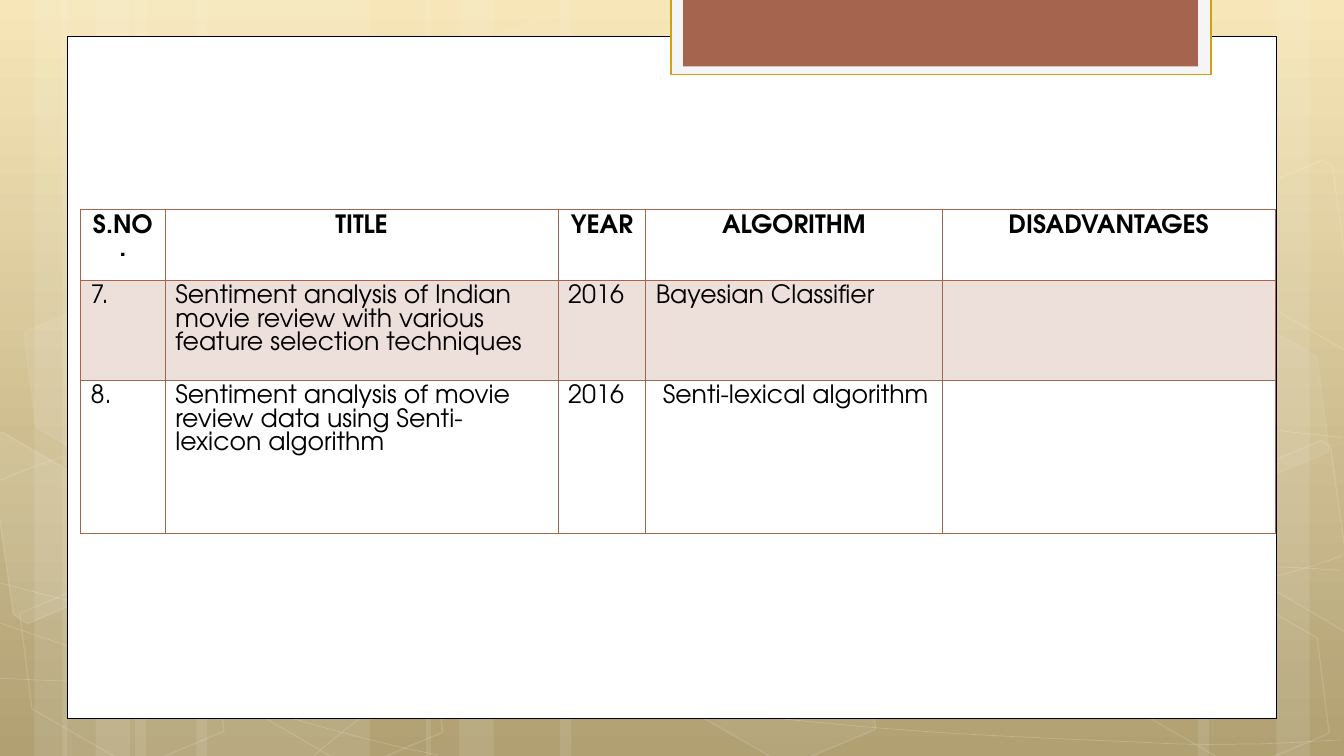
from math import cos, radians, sin

from lxml import etree
from pptx import Presentation
from pptx.dml.color import RGBColor
from pptx.enum.shapes import MSO_SHAPE
from pptx.enum.text import PP_ALIGN
from pptx.oxml.ns import qn
from pptx.util import Emu, Pt

RECT, HEXAGON = MSO_SHAPE.RECTANGLE, MSO_SHAPE.HEXAGON
PX = 9144  # 100 px to the inch
TILT = 30

THEME = {
    "font": "TeX Gyre Adventor", "size": 18,
    "top": "F6E4B0", "bottom": "A89663",
    "white": "FFFFFF", "text": "000000", "tab": "F5F5F5",
    "gold": "D2A010", "accent": "A5644E",
}

HEADER = ["S.NO.", "TITLE", "YEAR", "ALGORITHM", "DISADVANTAGES"]
PAPERS = [
    ["7.", "Sentiment analysis of Indian movie review with various feature selection techniques",
     "2016", "Bayesian Classiﬁer", ""],
    ["8.", "Sentiment analysis of movie review data using Senti-lexicon algorithm",
     "2016", " Senti-lexical algorithm", ""],
]
TABLE_AT = (80, 208)
COLUMNS = [84, 390, 87, 294, 331]
ROWS = [70, 99, 152]
THIN, THICK = 0.45, 0.96

# left, width of full-height stripes
STRIPES = [(134, 233), (0, 67), (34, 111), (195, 233), (62, 67), (95, 111),
           (967, 233), (1267, 67), (1189, 111), (556, 411), (423, 67), (456, 111)]

# start point, then segments: six numbers for a cubic Bézier, two for a line
CURVES = [
    [(-1, 673), (71, 676, 143, 679, 243, 678), (343, 677, 466, 675, 599, 665),
     (733, 655, 922, 636, 1045, 617), (1167, 598, 1292, 568, 1332, 551)],
    [(-1, 477), (37, 461, 75, 446, 151, 431), (227, 416, 334, 394, 452, 387),
     (571, 380, 714, 379, 861, 387), (1008, 395, 1252, 426, 1332, 434)],
    [(-3, 617), (158, 672, 319, 727, 435, 749)],
    [(-1, 578), (40, 589, 82, 600, 160, 616), (237, 631, 353, 656, 464, 673),
     (576, 690, 716, 708, 826, 718), (937, 729, 1055, 733, 1126, 736),
     (1196, 740, 1215, 738, 1249, 738), (1283, 737, 1308, 735, 1332, 734)],
    [(312, 749), (336, 729, 359, 709, 392, 691), (424, 672, 469, 653, 506, 639),
     (543, 625, 566, 619, 615, 609), (664, 599, 754, 585, 800, 578),
     (847, 571, 854, 571, 896, 569), (937, 566, 1002, 563, 1048, 562),
     (1094, 561, 1171, 562, 1171, 562), (1259, 562),
     (1284, 563, 1306, 564, 1318, 565), (1330, 566, 1326, 565, 1330, 566)],
]

# left, top, fill opacity %, line opacity %
HEXAGONS = [(435, 36, 4, 8), (651, 589, 6, 12), (4, 591, 0, 12), (8, 312, 7, 8),
            (221, 592, 0, 12), (1101, 593, 0, 12), (1101, 314, 7, 8)]

# centre and points of the hexagons cut by the slide edge, fill opacity %
CUT_HEXAGONS = [
    ((37, 536), [(-11, 434), (2, 428), (104, 487), (116, 581), (28, 618), (13, 609)], 10),
    ((1302, 520), [(1224, 474), (1312, 437), (1321, 443), (1346, 625), (1338, 628),
                   (1236, 569)], 4),
    ((1302, 241), [(1224, 196), (1312, 159), (1323, 165), (1346, 346), (1338, 350),
                   (1236, 291)], 0),
]

# left, top, width, height, fill, line colour, line width
PANELS = [(67, 36, 1200, 677, "white", "text", 0.5),
          (666, -2, 536, 76, "tab", "gold", 1),
          (678, -2, 511, 68, "accent", None, 0)]


def rgb(name):
    return RGBColor.from_string(THEME[name])


def paint(fill, name, opacity=100):
    if not opacity:
        fill.background()
        return
    fill.solid()
    fill.fore_color.rgb = rgb(name)
    if opacity < 100:
        for clr in fill._xPr.iter(qn("a:srgbClr")):
            etree.SubElement(clr, qn("a:alpha"), val=str(opacity * 1000))


def style(sp, fill, opacity=100, line=None, width=0, line_opacity=100):
    sp.shadow.inherit = False
    paint(sp.fill, fill, opacity)
    if line:
        sp.line.width = Pt(width)
        paint(sp.line.fill, line, line_opacity)
    else:
        sp.line.fill.background()


def add_preset(s, kind, *box):
    return s.shapes.add_shape(kind, *(Emu(v * PX) for v in box))


def add_outline(s, points, close):
    builder = s.shapes.build_freeform(*points[0], scale=PX)
    builder.add_line_segments(points[1:], close=close)
    return builder.convert_to_shape()


def add_curve(s, curve):
    """Draw through all control points, then merge each three lines into a Bézier."""
    points = [xy for seg in curve for xy in zip(seg[::2], seg[1::2])]
    sp = add_outline(s, points, False)
    lines = iter(list(sp._element.iter(qn("a:lnTo"))))
    for seg in curve[1:]:
        first = next(lines)
        if len(seg) == 6:
            first.tag = qn("a:cubicBezTo")
            for _ in range(2):
                extra = next(lines)
                first.append(extra[0])
                extra.getparent().remove(extra)
    return sp


def add_cut_hexagon(s, centre, points):
    """Turn the points back by the tilt, so that the rotated shape meets them."""
    cx, cy = centre
    c, n = cos(radians(TILT)), sin(radians(TILT))
    flat = [(cx + (x - cx) * c + (y - cy) * n, cy - (x - cx) * n + (y - cy) * c)
            for x, y in points]
    sp = add_outline(s, flat, True)
    sp.rotation = TILT
    return sp


def set_borders(cell, row):
    widths = {"L": THIN, "R": THIN,
              "T": THICK if row == 1 else THIN, "B": THICK if row == 0 else THIN}
    tc_pr = cell._tc.get_or_add_tcPr()
    for side, width in widths.items():
        ln = etree.SubElement(tc_pr, qn(f"a:ln{side}"), w=str(Pt(width)))
        solid = etree.SubElement(ln, qn("a:solidFill"))
        etree.SubElement(solid, qn("a:srgbClr"), val=THEME["accent"])


def draw_backdrop(s):
    fill = s.background.fill
    fill.gradient()
    fill.gradient_angle = 270
    for stop, name in zip(fill.gradient_stops, ("top", "bottom")):
        stop.color.rgb = rgb(name)
    for left, width in STRIPES:
        style(add_preset(s, RECT, left, 0, width, 750), "white", 10)
    for curve in CURVES:
        style(add_curve(s, curve), "white", 0, "white", 0.5, 20)
    for left, top, opacity, line_opacity in HEXAGONS:
        sp = add_preset(s, HEXAGON, left, top, 234, 152)
        sp.adjustments[0] = 0.38
        sp.rotation = TILT
        style(sp, "white", opacity, "white", 1, line_opacity)
    for centre, points, opacity in CUT_HEXAGONS:
        style(add_cut_hexagon(s, centre, points), "white", opacity, "white", 1, 12)
    for *box, fill_name, line, width in PANELS:
        style(add_preset(s, RECT, *box), fill_name, 100, line, width)


def draw_table(s):
    box = (*TABLE_AT, sum(COLUMNS), sum(ROWS))
    table = s.shapes.add_table(len(ROWS), len(COLUMNS), *(Emu(v * PX) for v in box)).table
    table.first_row = table.horz_banding = False
    for column, width in zip(table.columns, COLUMNS):
        column.width = Emu(width * PX)
    for i, texts in enumerate([HEADER, *PAPERS]):
        table.rows[i].height = Emu(ROWS[i] * PX)
        for j, text in enumerate(texts):
            cell = table.cell(i, j)
            set_borders(cell, i)
            paint(cell.fill, "accent", 20 if i == 1 else 0)
            p = cell.text_frame.paragraphs[0]
            p.text = text
            p.alignment = PP_ALIGN.CENTER if i == 0 else PP_ALIGN.LEFT
            for r in p.runs:
                r.font.name = THEME["font"]
                r.font.size = Pt(THEME["size"])
                r.font.bold = i == 0
                r.font.color.rgb = rgb("text")


def main():
    prs = Presentation()
    prs.slide_width, prs.slide_height = Emu(1334 * PX), Emu(750 * PX)
    s = prs.slides.add_slide(prs.slide_layouts[6])
    draw_backdrop(s)
    draw_table(s)
    prs.save("out.pptx")


if __name__ == "__main__":
    main()
